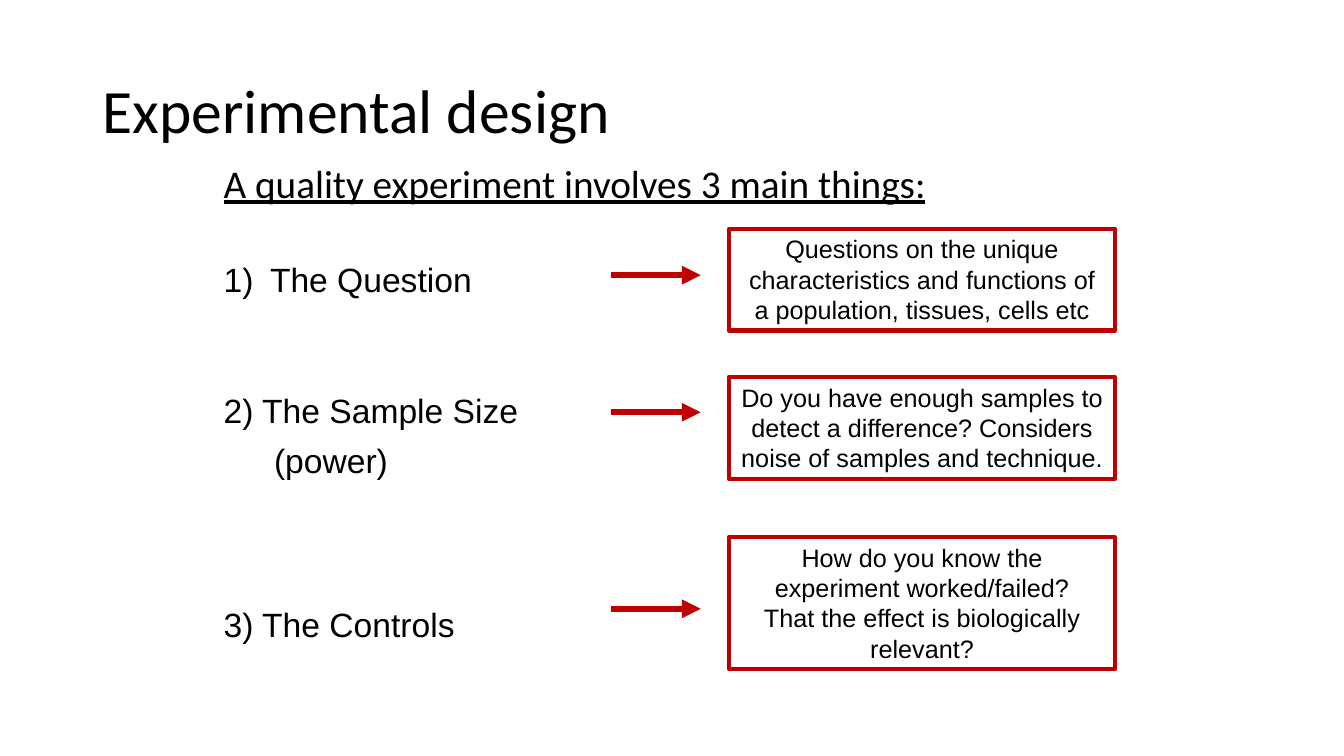
from lxml import etree
from pptx import Presentation
from pptx.dml.color import RGBColor
from pptx.enum import shapes, text
from pptx.oxml import ns
from pptx.util import Inches, Pt

COLORS = {"ink": "000000", "accent": "C00000"}
ARROW_X, ARROW_WIDTH = 6.06, 0.89
ANSWER_X, ANSWER_WIDTH = 7.23, 3.83

# arrow height on the page, answer top, answer height, answer paragraphs
ANSWERS = [
    (2.73, 2.27, 1.01, ["Questions on the unique characteristics and functions of "
                        "a population, tissues, cells etc"]),
    (4.09, 3.74, 1.01, ["Do you have enough samples to detect a difference? "
                        "Considers noise of samples and technique."]),
    (6.04, 5.33, 1.31, ["How do you know the experiment worked/failed?",
                        "That the effect is biologically relevant?"]),
]

# wording, line spacing, space before, left indent, numbered by the list
THINGS = [
    ("The Question", 2, 0, 0.46, True),
    ("2) The Sample Size", 1.2, 59, 0, False),
    ("(power)", 1.2, 1, 0.5, False),
    ("3) The Controls", 2, 60, 0, False),
]


def color(name):
    return RGBColor.from_string(COLORS[name])


def add_span(para, wording, size, font, underline=None):
    span = para.add_run()
    span.text = wording
    span.font.size = Pt(size)
    span.font.name = font
    span.font.underline = underline
    span.font.color.rgb = color("ink")


def add_text_box(page, left, top, width, height):
    frame = page.shapes.add_textbox(
        Inches(left), Inches(top), Inches(width), Inches(height)).text_frame
    frame.word_wrap = True
    return frame


def next_para(frame, index):
    return frame.add_paragraph() if index else frame.paragraphs[0]


def add_heading(page, left, top, width, height):
    frame = add_text_box(page, left, top, width, height)
    frame.vertical_anchor = text.MSO_ANCHOR.MIDDLE
    para = frame.paragraphs[0]
    para.line_spacing = 0.9
    add_span(para, "Experimental design", 44, "Calibri")


def add_lead(page, left, top, width, height):
    frame = add_text_box(page, left, top, width, height)
    add_span(frame.paragraphs[0], "A quality experiment involves 3 main things:",
             28, "Calibri", underline=True)


def add_things(page, left, top, width, height):
    frame = add_text_box(page, left, top, width, height)
    for index, (wording, spacing, before, indent, numbered) in enumerate(THINGS):
        para = next_para(frame, index)
        para.line_spacing = spacing
        para.space_before = Pt(before)
        properties = para._p.get_or_add_pPr()
        properties.set("marL", str(Inches(indent)))
        if numbered:
            properties.set("indent", str(-Inches(indent)))
            etree.SubElement(properties, ns.qn("a:buFont"), typeface="Arial")
            etree.SubElement(properties, ns.qn("a:buAutoNum"), type="arabicParenR")
        add_span(para, wording, 24, "Arial")


def add_arrow(page, left, middle, width):
    arrow = page.shapes.add_connector(
        shapes.MSO_CONNECTOR.STRAIGHT,
        Inches(left), Inches(middle), Inches(left + width), Inches(middle))
    arrow.line.color.rgb = color("accent")
    arrow.line.width = Pt(4.5)
    etree.SubElement(arrow.line._get_or_add_ln(), ns.qn("a:tailEnd"), type="triangle")
    etree.SubElement(arrow._element.spPr, ns.qn("a:effectLst"))


def add_answer(page, left, top, width, height, wordings):
    box = page.shapes.add_shape(
        shapes.MSO_SHAPE.RECTANGLE,
        Inches(left), Inches(top), Inches(width), Inches(height))
    box.shadow.inherit = False
    box.fill.background()
    box.line.color.rgb = color("accent")
    box.line.width = Pt(3)
    frame = box.text_frame
    frame.word_wrap = True
    frame.vertical_anchor = text.MSO_ANCHOR.TOP
    for index, wording in enumerate(wordings):
        para = next_para(frame, index)
        para.alignment = text.PP_ALIGN.CENTER
        add_span(para, wording, 18, "Arial")


def main():
    deck = Presentation()
    deck.slide_width, deck.slide_height = Inches(13.33), Inches(7.5)
    page = deck.slides.add_slide(deck.slide_layouts[6])
    add_heading(page, 0.92, 0.4, 11.5, 1.45)
    add_lead(page, 2.12, 1.53, 7.46, 1.04)
    add_things(page, 2.12, 2.12, 5.43, 4.23)
    for middle, top, height, wordings in ANSWERS:
        add_arrow(page, ARROW_X, middle, ARROW_WIDTH)
        add_answer(page, ANSWER_X, top, ANSWER_WIDTH, height, wordings)
    deck.save("out.pptx")


if __name__ == "__main__":
    main()
